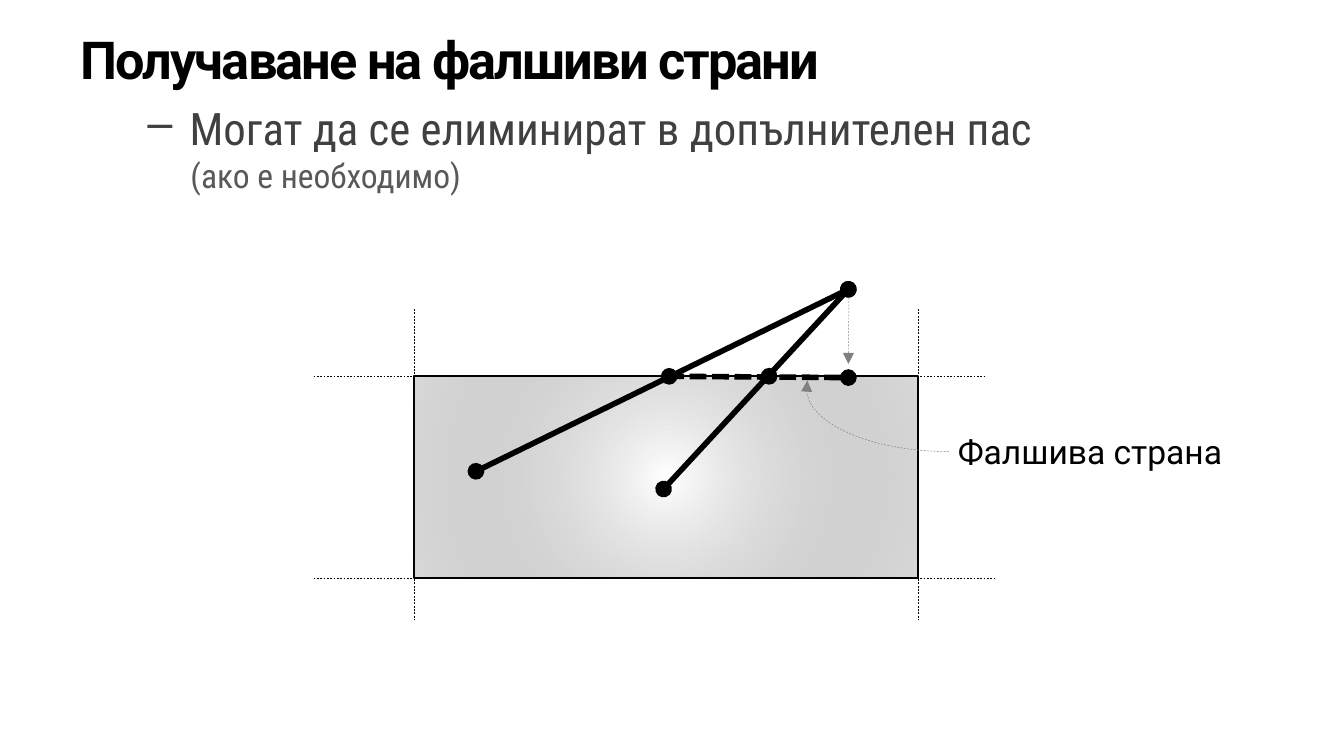
from lxml.etree import SubElement
from pptx import Presentation
from pptx.dml.color import RGBColor
from pptx.enum.dml import MSO_LINE_DASH_STYLE as DASH
from pptx.enum.shapes import MSO_CONNECTOR as CONNECTOR, MSO_SHAPE as SHAPE
from pptx.oxml import parse_xml
from pptx.oxml.ns import nsdecls, qn
from pptx.util import Pt

BLACK, GRAY = "000000", "808080"

# text, left margin, indent, bullet, space before, letter spacing, font
OUTLINE = [
    ("Получаване на фалшиви страни", 27, -27, None, 0, -1,
     dict(name="Roboto", size=28, bold=True, color=BLACK)),
    ("Могат да се елиминират в допълнителен пас", 58.5, -22.5, "–", 6, 0,
     dict(name="Roboto Condensed", size=24, bold=False, color="404040")),
    ("(ако е необходимо)", 59, 0, None, 0, 0,
     dict(name="Roboto Condensed", size=18, bold=False, color="595959")),
]
LABEL = ("Фалшива страна", 0, 0, None, 0, 0,
         dict(name="Roboto", size=18, bold=False, color=BLACK))

# Clipping window and polygon points
LEFT, TOP, WIDTH, HEIGHT = 222, 201.6, 270, 108
RIGHT, BOTTOM = LEFT + WIDTH, TOP + HEIGHT
APEX, LEFT_END, RIGHT_END = (454.5, 155), (255, 252.5), (355.5, 262)
LEFT_CROSSING, RIGHT_CROSSING, PROJECTION = (358.5, TOP), (412, TOP), (454.5, 202.3)
DOT = 9

GUIDE = dict(color=BLACK, width=0.25, dash=DASH.DASH)
SIDE = dict(color=BLACK, width=3, head="oval", tail="oval")
FALSE_SIDE = dict(SIDE, dash=DASH.SQUARE_DOT)
POINTER = dict(color=GRAY, width=0.25, dash=DASH.DASH, tail="triangle")

GUIDES = [((x, 165.6), (x, 332)) for x in (LEFT, RIGHT)]
GUIDES += [((168, y), (end, y)) for y, end in ((BOTTOM, 534), (TOP, 528))]
SIDES = [
    (APEX, LEFT_END, SIDE),
    (PROJECTION, LEFT_CROSSING, FALSE_SIDE),
    ((454.8, 157.7), (454.5, 195), POINTER),
    (RIGHT_END, APEX, SIDE),
]


def rgb(value):
    return RGBColor.from_string(value)


def style_line(line, color, width, dash=None, head=None, tail=None):
    line.color.rgb = rgb(color)
    line.width = Pt(width)
    if dash:
        line.dash_style = dash
    for tag, kind in (("a:headEnd", head), ("a:tailEnd", tail)):
        if kind:
            SubElement(line._get_or_add_ln(), qn(tag), type=kind)


def add_line(start, end, style):
    line = slide.shapes.add_connector(
        CONNECTOR.STRAIGHT, *(Pt(v) for v in (*start, *end)))
    style_line(line.line, **style)
    SubElement(line._element.spPr, qn("a:effectLst"))


def add_shape(kind, *box):
    shape = slide.shapes.add_shape(kind, *(Pt(v) for v in box))
    shape.shadow.inherit = False
    return shape


def add_text(box, paragraphs, wrap):
    frame = slide.shapes.add_textbox(*(Pt(v) for v in box)).text_frame
    frame.word_wrap = wrap
    for i, (text, margin, indent, bullet, before, spacing, font) in enumerate(paragraphs):
        paragraph = frame.add_paragraph() if i else frame.paragraphs[0]
        properties = paragraph._p.get_or_add_pPr()
        properties.set("marL", str(Pt(margin)))
        properties.set("indent", str(Pt(indent)))
        if bullet:
            SubElement(properties, qn("a:buChar"), char=bullet)
        paragraph.space_before = Pt(before)
        run = paragraph.add_run()
        run.text = text
        for key, value in dict(name=font["name"], size=Pt(font["size"]),
                               bold=font["bold"]).items():
            setattr(run.font, key, value)
        run.font.color.rgb = rgb(font["color"])
        if spacing:
            run._r.get_or_add_rPr().set("spc", str(spacing * 100))


def fill_radial(shape, inner, outer, outer_alpha):
    """Fill from the centre outwards; the outer colour is partly transparent."""
    shape.fill.background()
    old = shape._element.spPr.find(qn("a:noFill"))
    old.getparent().replace(old, parse_xml(
        f'<a:gradFill {nsdecls("a")} rotWithShape="1"><a:gsLst>'
        f'<a:gs pos="0"><a:srgbClr val="{inner}"/></a:gs>'
        f'<a:gs pos="100000"><a:srgbClr val="{outer}">'
        f'<a:alpha val="{outer_alpha * 1000}"/></a:srgbClr></a:gs></a:gsLst>'
        '<a:path path="circle"><a:fillToRect l="50000" t="50000" r="50000" b="50000"/>'
        '</a:path></a:gradFill>'))


presentation = Presentation()
presentation.slide_width, presentation.slide_height = Pt(720), Pt(405)
slide = presentation.slides.add_slide(presentation.slide_layouts[6])

add_text((36, 10.8, 684, 394), OUTLINE, True)

for start, end in GUIDES:
    add_line(start, end, GUIDE)

window = add_shape(SHAPE.RECTANGLE, LEFT, TOP, WIDTH, HEIGHT)
fill_radial(window, "FFFFFF", GRAY, 30)
style_line(window.line, BLACK, 1)

for start, end, style in SIDES:
    add_line(start, end, style)

add_text((506, 227.5, 162, 29), [LABEL], False)
label_pointer = add_shape(SHAPE.ARC, 432, 173.5, 152.6, 68.4)
label_pointer.rotation = 180
label_pointer.adjustments[0] = 162
label_pointer.adjustments[1] = 1.73
label_pointer.fill.background()
style_line(label_pointer.line, **POINTER)

x, y = RIGHT_CROSSING
crossing = add_shape(SHAPE.OVAL, x - DOT / 2, y - DOT / 2, DOT, DOT)
crossing.fill.solid()
crossing.fill.fore_color.rgb = rgb(BLACK)
crossing.line.fill.background()

presentation.save("out.pptx")
